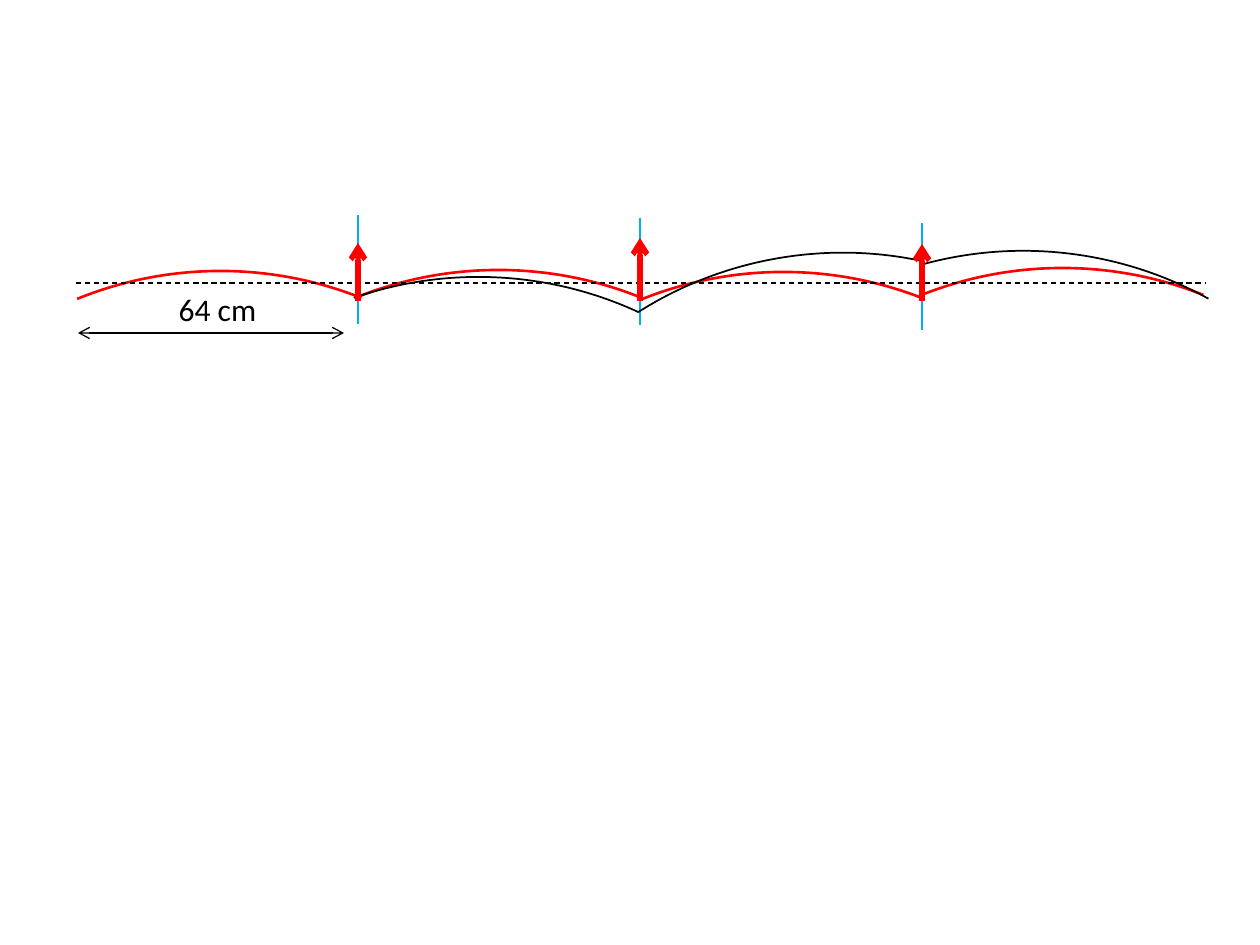
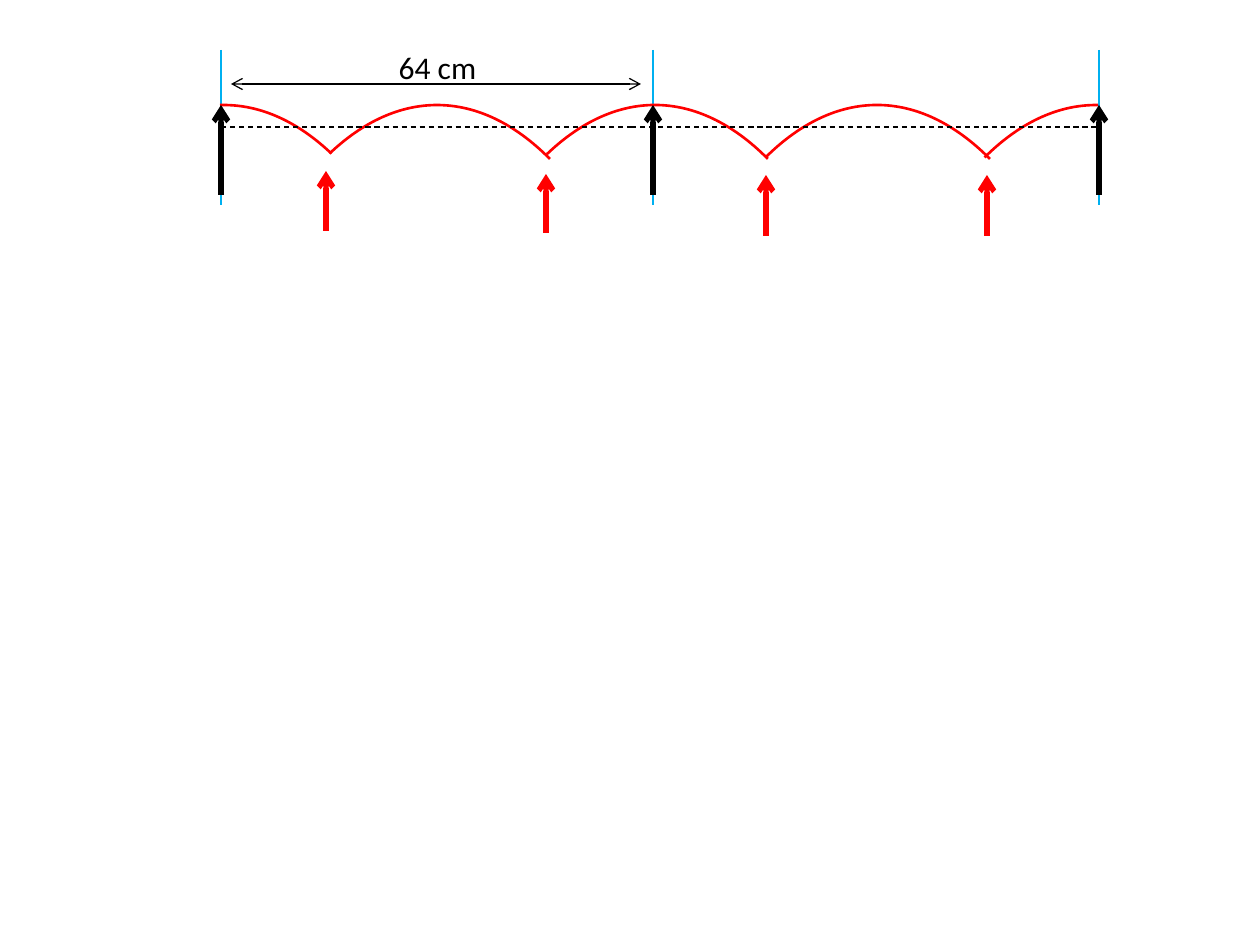
import pptx
import pptx.dml.color
import pptx.enum.dml
import pptx.enum.shapes
import pptx.enum.text
import pptx.oxml.ns
import pptx.util
from lxml import etree

EMU_PER_PX = 914400 / 126
COLORS = {"post": "00B0F0", "red": "FF0000", "black": "000000"}
THIN, WAVE, BEAM, ARROW = 0.75, 1, 1.5, 3  # line widths in points
LABEL_SIZE = (271, 50)


def px(*lengths):
    return [round(length * EMU_PER_PX) for length in lengths]


def add_line(slide, start, end, color, width, dashed=False, ends=()):
    connector = slide.shapes.add_connector(
        pptx.enum.shapes.MSO_CONNECTOR.STRAIGHT, *px(*start, *end))
    connector.line.color.rgb = pptx.dml.color.RGBColor.from_string(COLORS[color])
    connector.line.width = pptx.util.Pt(width)
    if dashed:
        connector.line.dash_style = pptx.enum.dml.MSO_LINE.DASH
    for end_tag in ends:
        arrowhead = etree.SubElement(connector.line._ln, pptx.oxml.ns.qn(end_tag))
        arrowhead.set("type", "arrow")
    etree.SubElement(connector._element.spPr, pptx.oxml.ns.qn("a:effectLst"))


# Arcs: left, top, rotation, start angle, end angle, colour, line width
drawings = [
    {
        "posts": [(358, 215, 324), (640, 218, 325), (922, 223, 330)],
        "arc_size": (745, 726),
        "arcs": [
            (126, 270, 0, 246.85, 292.76, "red", BEAM),
            (411, 272, 0, 246.85, 292.76, "red", BEAM),
            (690, 268, 0, 246.85, 292.76, "red", BEAM),
            (-152, 271, 0, 246.85, 292.76, "red", BEAM),
            (107, 277, 3, 246.85, 292.93, "black", WAVE),
            (467, 253, 349.6, 246.85, 293.74, "black", WAVE),
            (653, 251, 6.4, 246.85, 293.74, "black", WAVE),
        ],
        "axis": (283, [76, 1205]),
        "arrows": [(358, 301, 243, "red"), (640, 301, 238, "red"), (922, 301, 244, "red")],
        "span": (333, 78, 344),
        "label": (82, 284),
    },
    {
        "posts": [(x, 50, 205) for x in (221, 653, 1099)],
        "arc_size": (512, 1052),
        "arcs": [
            (left, 105, 0, start, end, "red", BEAM)
            for left, start, end in [
                (-32, 269.57, 282.67),
                (181, 257.33, 283.45),
                (399, 257.22, 283.45),
                (621, 256.84, 283.45),
                (840, 256.76, 270.23),
            ]
        ],
        "axis": (127, [221, 631, 1099]),
        "arrows": [
            (326, 231, 171, "red"), (546, 233, 174, "red"),
            (766, 236, 175, "red"), (987, 236, 175, "red"),
            (221, 195, 105, "black"), (653, 195, 105, "black"), (1099, 195, 105, "black"),
        ],
        "span": (84, 231, 641),
        "label": (302, 42),
    },
]

presentation = pptx.Presentation()
presentation.slide_width, presentation.slide_height = px(1260, 945)

for drawing in drawings:
    slide = presentation.slides.add_slide(presentation.slide_layouts[6])

    # Vertical posts
    for x, top, bottom in drawing["posts"]:
        add_line(slide, (x, top), (x, bottom), "post", THIN)

    # Curved segments
    for left, top, rotation, start, end, color, width in drawing["arcs"]:
        arc = slide.shapes.add_shape(
            pptx.enum.shapes.MSO_SHAPE.ARC, *px(left, top, *drawing["arc_size"]))
        arc.shadow.inherit = False
        arc.rotation = rotation
        # Adjustments count 60000ths of a degree in units of 100000
        arc.adjustments[0] = start * 0.6
        arc.adjustments[1] = end * 0.6
        arc.fill.background()
        arc.line.color.rgb = pptx.dml.color.RGBColor.from_string(COLORS[color])
        arc.line.width = pptx.util.Pt(width)

    # Dashed axis
    y, stops = drawing["axis"]
    for left, right in zip(stops, stops[1:]):
        add_line(slide, (left, y), (right, y), "black", THIN, dashed=True)

    # Upward arrows
    for x, bottom, tip, color in drawing["arrows"]:
        add_line(slide, (x, bottom), (x, tip), color, ARROW, ends=["a:tailEnd"])

    # Dimension line and its label
    y, left, right = drawing["span"]
    add_line(slide, (left, y), (right, y), "black", THIN, ends=["a:headEnd", "a:tailEnd"])
    label = slide.shapes.add_textbox(*px(*drawing["label"], *LABEL_SIZE))
    text_frame = label.text_frame
    text_frame.word_wrap = True
    text_frame.auto_size = pptx.enum.text.MSO_AUTO_SIZE.SHAPE_TO_FIT_TEXT
    text_frame.text = "64 cm"
    paragraph = text_frame.paragraphs[0]
    paragraph.alignment = pptx.enum.text.PP_ALIGN.CENTER
    font = paragraph.runs[0].font
    font.name = "Calibri"
    font.size = pptx.util.Pt(18)
    font.color.rgb = pptx.dml.color.RGBColor.from_string(COLORS["black"])

presentation.save("out.pptx")
